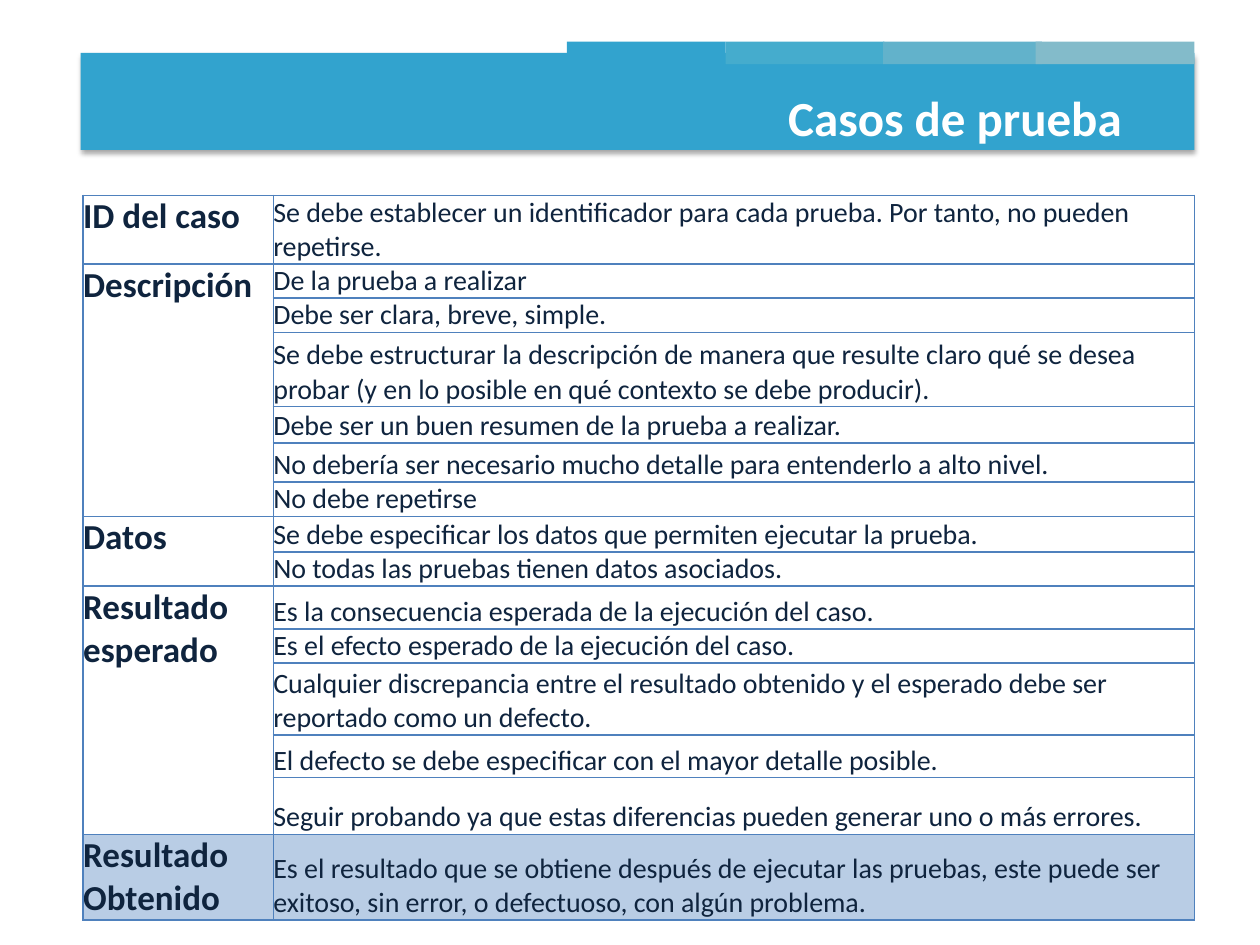
from typing import NamedTuple

from lxml import etree
from pptx import Presentation
from pptx.dml.color import RGBColor
from pptx.enum.shapes import MSO_SHAPE
from pptx.enum.text import MSO_ANCHOR, PP_ALIGN
from pptx.oxml.ns import qn
from pptx.util import Inches, Pt

RECTANGLE = MSO_SHAPE.RECTANGLE
TOP, MIDDLE, BOTTOM = MSO_ANCHOR.TOP, MSO_ANCHOR.MIDDLE, MSO_ANCHOR.BOTTOM
RIGHT = PP_ALIGN.RIGHT

FONT = "Calibri"
WHITE, NAVY, BLUE = "FFFFFF", "0F243E", "32A3CE"
BORDER, HIGHLIGHT = "4F81BD", "B9CDE5"
BORDER_SIDES = ("a:lnL", "a:lnR", "a:lnT", "a:lnB")


class Bar(NamedTuple):
    left: float
    top: float
    width: float
    height: float
    color: str


class Rule(NamedTuple):
    text: str
    height: float


class Section(NamedTuple):
    heading: str
    rules: list[Rule]
    fill: str | None = None


HEADER_BAND = Bar(0.64, 0.42, 8.84, 0.77, BLUE)
HEADER_TABS = [
    Bar(left, 0.33, 1.26, 0.18, color)
    for left, color in [(4.5, BLUE), (5.76, "45ACCD"), (7.01, "62B2CB"), (8.22, "83BBCA")]
]

SECTIONS = [
    Section("ID del caso", [
        Rule("Se debe establecer un identificador para cada prueba. Por tanto, no pueden repetirse.", 0.51),
    ]),
    Section("Descripción", [
        Rule("De la prueba a realizar", 0.12),
        Rule("Debe ser clara, breve, simple.", 0.17),
        Rule("Se debe estructurar la descripción de manera que resulte claro qué se desea "
             "probar (y en lo posible en qué contexto se debe producir).", 0.59),
        Rule("Debe ser un buen resumen de la prueba a realizar.", 0.29),
        Rule("No debería ser necesario mucho detalle para entenderlo a alto nivel.", 0.31),
        Rule("No debe repetirse", 0.12),
    ]),
    Section("Datos", [
        Rule("Se debe especificar los datos que permiten ejecutar la prueba.", 0.28),
        Rule("No todas las pruebas tienen datos asociados.", 0.23),
    ]),
    Section("Resultado esperado", [
        Rule("Es la consecuencia esperada de la ejecución del caso.", 0.34),
        Rule("Es el efecto esperado de la ejecución del caso.", 0.23),
        Rule("Cualquier discrepancia entre el resultado obtenido y el esperado debe ser "
             "reportado como un defecto.", 0.57),
        Rule("El defecto se debe especificar con el mayor detalle posible.", 0.34),
        Rule("Seguir probando ya que estas diferencias pueden generar uno o más errores.", 0.45),
    ]),
    Section("Resultado Obtenido", [
        Rule("Es el resultado que se obtiene después de ejecutar las pruebas, este puede ser "
             "exitoso, sin error, o defectuoso, con algún problema.", 0.45),
    ], HIGHLIGHT),
]


def rgb(color: str) -> RGBColor:
    return RGBColor.from_string(color)


def add_bar(slide, bar: Bar):
    shape = slide.shapes.add_shape(
        RECTANGLE, Inches(bar.left), Inches(bar.top), Inches(bar.width), Inches(bar.height))
    shape.shadow.inherit = False
    shape.fill.solid()
    shape.fill.fore_color.rgb = rgb(bar.color)
    shape.line.fill.background()
    return shape


def add_drop_shadow(shape) -> None:
    effects = shape._element.spPr.find(qn("a:effectLst"))
    shadow = etree.SubElement(
        effects, qn("a:outerShdw"), blurRad=str(Pt(3.1)), dist=str(Pt(1.8)),
        dir=str(90 * 60000), rotWithShape="0")
    color = etree.SubElement(shadow, qn("a:srgbClr"), val="000000")
    etree.SubElement(color, qn("a:alpha"), val="35000")


def write(text_frame, text: str, size: float, bold: bool, color: str) -> None:
    paragraph = text_frame.paragraphs[0]
    run = paragraph.add_run()
    run.text = text
    for name, value in {"name": FONT, "size": Pt(size), "bold": bold}.items():
        setattr(run.font, name, value)
    run.font.color.rgb = rgb(color)


def format_cell(cell, fill: str | None, anchor) -> None:
    """Set the margins, anchor, four borders and fill of a cell."""
    cell_format = {"margin_left": 0, "margin_right": 0, "margin_top": 0,
                   "margin_bottom": 0, "vertical_anchor": anchor}
    for name, value in cell_format.items():
        setattr(cell, name, value)
    properties = cell._tc.get_or_add_tcPr()
    for side in BORDER_SIDES:
        line = etree.SubElement(properties, qn(side), w=str(Pt(1)))
        solid = etree.SubElement(line, qn("a:solidFill"))
        etree.SubElement(solid, qn("a:srgbClr"), val=BORDER)
    if fill:
        cell.fill.solid()
        cell.fill.fore_color.rgb = rgb(fill)
    else:
        cell.fill.background()


def add_test_case_table(slide, sections: list[Section]) -> None:
    row_count = sum(len(section.rules) for section in sections)
    frame = slide.shapes.add_table(
        row_count, 2, Inches(0.66), Inches(1.55), Inches(8.82), Inches(5.73))
    table = frame.table
    table.first_row = table.horz_banding = False
    for column, width in zip(table.columns, (1.51, 7.31)):
        column.width = Inches(width)

    row = 0
    for section in sections:
        first_row = row
        for rule in section.rules:
            table.rows[row].height = Inches(rule.height)
            format_cell(table.cell(row, 0), section.fill, TOP)
            format_cell(table.cell(row, 1), section.fill, BOTTOM)
            write(table.cell(row, 1).text_frame, rule.text, 16, False, NAVY)
            row += 1
        heading = table.cell(first_row, 0)
        if len(section.rules) > 1:
            heading.merge(table.cell(row - 1, 0))
        write(heading.text_frame, section.heading, 20, True, NAVY)
    frame.height = Inches(5.73)


def add_title(slide, title: str) -> None:
    box = slide.shapes.add_textbox(Inches(0), Inches(0.3), Inches(9), Inches(1.25))
    box.text_frame.word_wrap = True
    box.text_frame.vertical_anchor = MIDDLE
    write(box.text_frame, title, 28, True, WHITE)
    box.text_frame.paragraphs[0].alignment = RIGHT


def main() -> None:
    presentation = Presentation()
    presentation.slide_width, presentation.slide_height = Inches(10), Inches(7.5)
    slide = presentation.slides.add_slide(presentation.slide_layouts[6])
    add_drop_shadow(add_bar(slide, HEADER_BAND))
    for tab in HEADER_TABS:
        add_bar(slide, tab)
    add_test_case_table(slide, SECTIONS)
    add_title(slide, "Casos de prueba")
    presentation.save("out.pptx")


if __name__ == "__main__":
    main()
